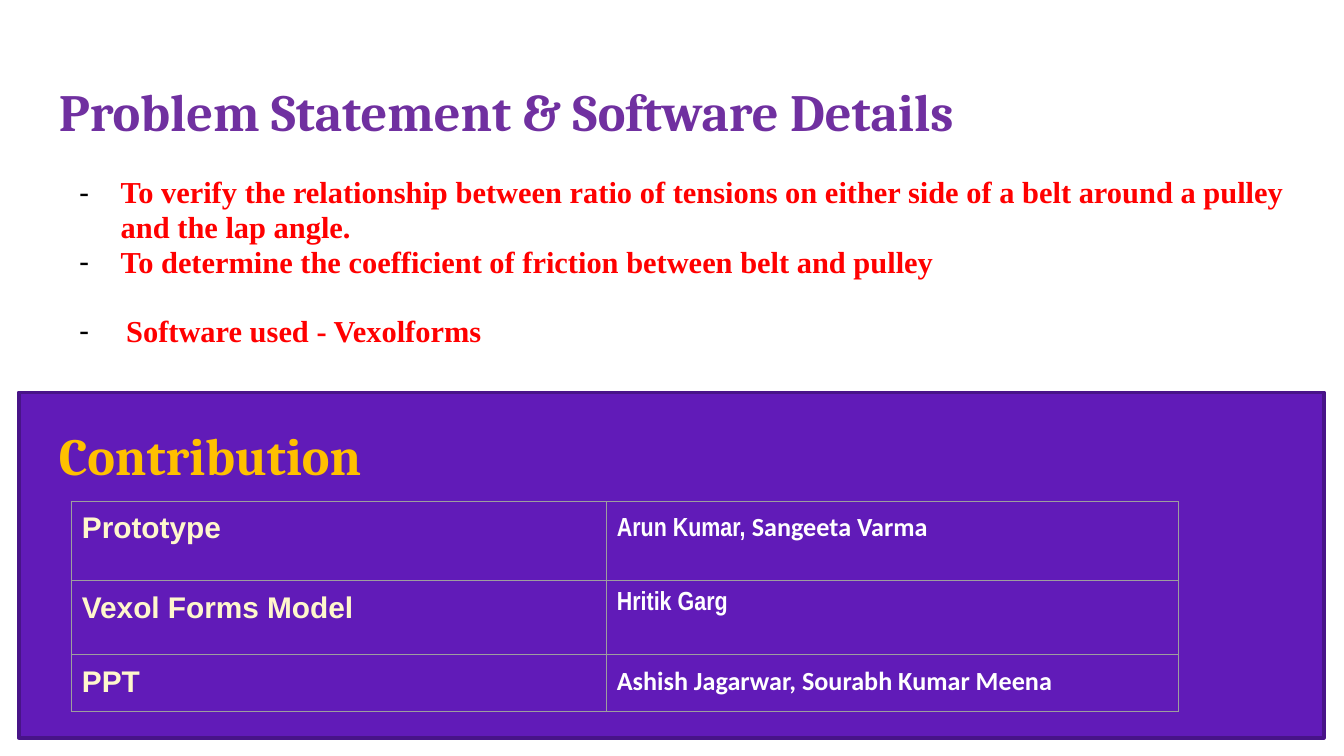
from collections import namedtuple
from dataclasses import dataclass

from lxml import etree
from pptx import Presentation
from pptx.dml.color import RGBColor
from pptx.enum.shapes import MSO_SHAPE
from pptx.enum.text import MSO_ANCHOR, PP_ALIGN
from pptx.oxml.ns import qn
from pptx.util import Inches, Pt

RECT = MSO_SHAPE.RECTANGLE
TOP = MSO_ANCHOR.TOP
LEFT = PP_ALIGN.LEFT
JUST = PP_ALIGN.JUSTIFY
COLS, ROWS = 100, 56.25
UNIT = Inches(10) / COLS
Box = namedtuple("Box", "left top width height")


@dataclass(frozen=True)
class Theme:
    head: str = "7030A0"
    goal: str = "FF0000"
    mark: str = "000000"
    panel: str = "611BB8"
    edge: str = "481488"
    gold: str = "FFC000"
    task: str = "FFF7CC"
    name: str = "FFFFFF"
    rule: str = "9E9E9E"
    big: float = 28
    body: float = 16.3
    label: float = 16
    small: float = 14
    title: str = "Cambria"
    serif: str = "Times New Roman"
    sans: str = "Arial"
    thin: str = "Arial Narrow"
    plain: str = "Calibri"


LOOK = Theme()


def part(box, left, top, width, height):
    return Box(box.left + left, box.top + top, width, height)


def place(box):
    return [round(n * UNIT) for n in box]


def node(host, tag, **attrs):
    return etree.SubElement(host, qn(tag), attrs)


def write(para, text, size, font, color, align=LEFT):
    para.alignment = align
    run = para.add_run()
    run.text = text
    run.font.size = Pt(size)
    run.font.name = font
    run.font.bold = True
    run.font.color.rgb = RGBColor.from_string(color)


def frame(slide, box, inset=1):
    area = slide.shapes.add_textbox(*place(box)).text_frame
    area.word_wrap = True
    area.vertical_anchor = TOP
    area.margin_left = area.margin_right = area.margin_bottom = round(UNIT)
    area.margin_top = round(inset * UNIT)
    return area


def heading(slide, box, text, color):
    write(frame(slide, box).paragraphs[0], text, LOOK.big, LOOK.title, color)


def dash(para, margin, hang):
    props = para._p.get_or_add_pPr()
    props.set("marL", str(round(margin * UNIT)))
    props.set("indent", str(round(-hang * UNIT)))
    node(node(props, "a:buClr"), "a:srgbClr", val=LOOK.mark)
    node(props, "a:buFont", typeface=LOOK.sans)
    node(props, "a:buChar", char="-")


def goals(slide, box):
    items = [
        ("To verify the relationship between ratio of tensions on either side "
         "of a belt around a pulley and the lap angle.", 4.6, 3.1, 0),
        ("To determine the coefficient of friction between belt and pulley",
         4.6, 3.1, 0),
        ("Software used - Vexolforms", 5, 3.5, 18.6),
    ]
    area = frame(slide, box, inset=2.9)
    for i, (text, margin, hang, gap) in enumerate(items):
        para = area.add_paragraph() if i else area.paragraphs[0]
        para.line_spacing = 0.95
        para.space_before = Pt(gap)
        write(para, text, LOOK.body, LOOK.serif, LOOK.goal, align=JUST)
        dash(para, margin, hang)


def problem(slide, box):
    heading(slide, part(box, 0, 0, 79.1, 6.8),
            "Problem Statement & Software Details", LOOK.head)
    goals(slide, part(box, 0, 5.3, box.width, 17))


def border(cell):
    props = cell._tc.get_or_add_tcPr()
    for side in ("a:lnL", "a:lnR", "a:lnT", "a:lnB"):
        line = node(props, side, w=str(Pt(0.6)))
        node(node(line, "a:solidFill"), "a:srgbClr", val=LOOK.rule)


def fill(cell, runs, size, color):
    cell.margin_left = cell.margin_right = round(0.8 * UNIT)
    cell.margin_top = cell.margin_bottom = round(0.8 * UNIT)
    cell.vertical_anchor = TOP
    border(cell)
    cell.fill.background()
    for text, font in runs:
        write(cell.text_frame.paragraphs[0], text, size, font, color)


def roles(slide, box):
    rows = [
        ("Prototype", [("Arun Kumar, ", LOOK.thin),
                       ("Sangeeta Varma", LOOK.plain)], 5.9),
        ("Vexol Forms Model", [("Hritik Garg", LOOK.thin)], 5.5),
        ("PPT", [("Ashish Jagarwar, Sourabh Kumar Meena", LOOK.plain)], 4.2),
    ]
    table = slide.shapes.add_table(len(rows), 2, *place(box)).table
    table.first_row = table.horz_banding = False
    for col, width in zip(table.columns, (39.8, 42.6)):
        col.width = round(width * UNIT)
    for i, (task, names, height) in enumerate(rows):
        table.rows[i].height = round(height * UNIT)
        fill(table.cell(i, 0), [(task, LOOK.sans)], LOOK.label, LOOK.task)
        fill(table.cell(i, 1), names, LOOK.small, LOOK.name)


def credits(slide, box):
    panel = slide.shapes.add_shape(RECT, *place(box))
    panel.shadow.inherit = False
    panel.fill.solid()
    panel.fill.fore_color.rgb = RGBColor.from_string(LOOK.panel)
    panel.line.color.rgb = RGBColor.from_string(LOOK.edge)
    panel.line.width = Pt(2)
    node(panel.line._get_or_add_ln(), "a:round")
    heading(slide, part(box, 2, 1.3, 57.2, 6.8), "Contribution", LOOK.gold)
    roles(slide, part(box, 3.9, 8.1, 82.4, 15.6))


def main():
    deck = Presentation()
    deck.slide_width = round(COLS * UNIT)
    deck.slide_height = round(ROWS * UNIT)
    slide = deck.slides.add_slide(deck.slide_layouts[6])
    problem(slide, Box(3.4, 4.9, 93.2, 22.3))
    credits(slide, Box(1.4, 29.2, 97.1, 25.7))
    deck.save("out.pptx")


if __name__ == "__main__":
    main()
